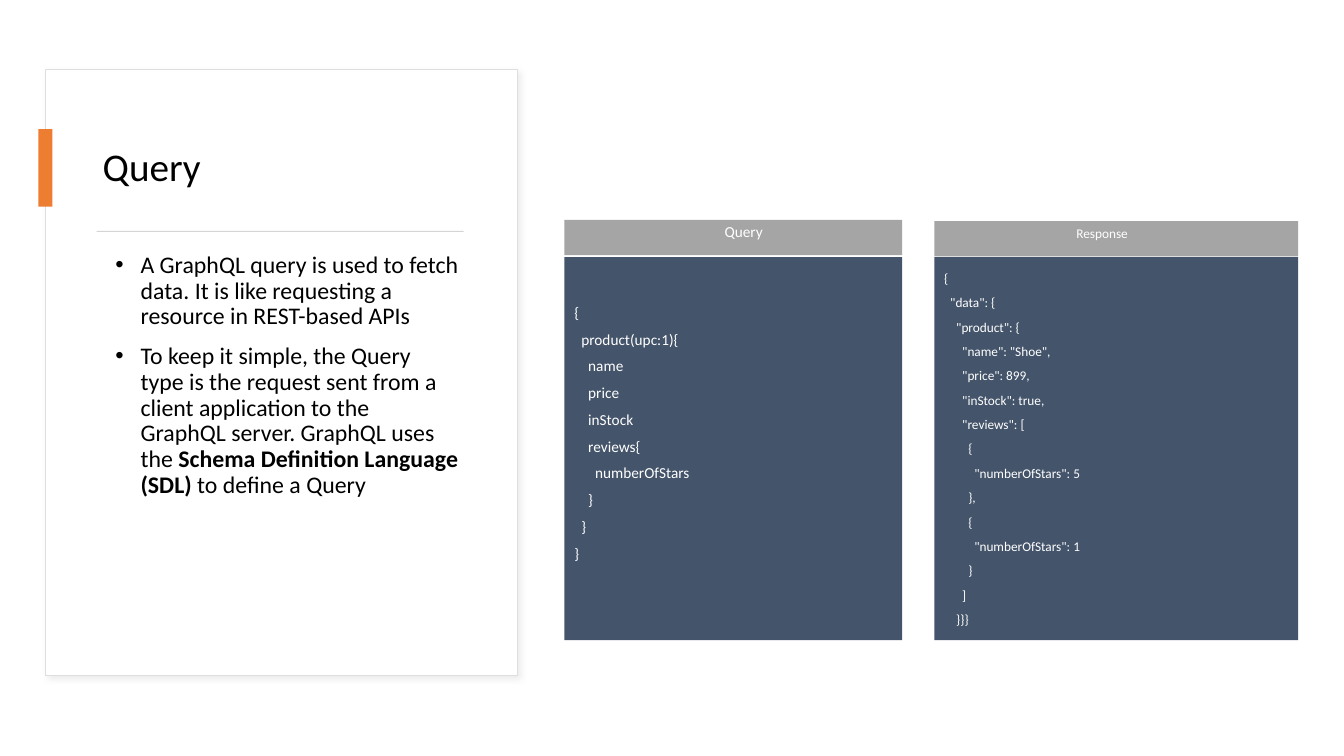
"""Build the Query slide: a text card beside a query and its response."""
from lxml import etree
from pptx import Presentation
from pptx.dml.color import RGBColor
from pptx.enum.shapes import MSO_SHAPE
from pptx.enum.text import MSO_ANCHOR, MSO_AUTO_SIZE, PP_ALIGN
from pptx.oxml.ns import qn
from pptx.util import Pt

RECT = MSO_SHAPE.RECTANGLE
MIDDLE, TOP = MSO_ANCHOR.MIDDLE, MSO_ANCHOR.TOP
FIXED, LEFT = MSO_AUTO_SIZE.NONE, PP_ALIGN.LEFT
FONT = "Calibri"
HEX = {"white": "FFFFFF", "black": "000000", "edge": "DEDEDE",
       "shade": "D9D9D9", "accent": "ED7D31", "rule": "D5D5D5",
       "code": "44546A", "head": "A5A5A5"}

TITLE = "Query"
POINTS = [
    [("A GraphQL query is used to fetch data. It is like requesting a "
      "resource in REST-based APIs", False)],
    [("To keep it simple, the Query type is the request sent from a client "
      "application to the GraphQL server. GraphQL uses the ", False),
     ("Schema Definition Language (SDL)", True),
     (" to define a Query", False)],
]
QUERY = [(0, "{"), (1, "product(upc:1){"), (2, "name"), (2, "price"),
         (2, "inStock"), (2, "reviews{"), (3, "numberOfStars"),
         (2, "}"), (1, "}"), (0, "}")]
REPLY = [(0, "{"), (1, '"data": {'), (2, '"product": {'),
         (3, '"name": "Shoe",'), (3, '"price": 899,'),
         (3, '"inStock": true,'), (3, '"reviews": ['), (4, "{"),
         (5, '"numberOfStars": 5'), (4, "},"), (4, "{"),
         (5, '"numberOfStars": 1'), (4, "}"), (3, "]"), (2, "}}}")]
PANELS = [
    {"name": "Query", "lines": QUERY, "size": 10.9, "left": 403.2,
     "width": 241.2, "top": 157, "label": (510.5, 155.5, 44, 28), "foot": 26.6},
    {"name": "Response", "lines": REPLY, "size": 9.5, "left": 667.4,
     "width": 260, "top": 157.9, "label": (761.8, 157, 75, 25), "foot": 3.6},
]
CODE_TOP, CODE_HIGH, HEAD_HIGH = 183.7, 273.6, 25.2
STEP = 0.452


def paint(run, size, color, bold=False):
    font = run.font
    font.name, font.size, font.bold = FONT, Pt(size), bold
    font.color.rgb = RGBColor.from_string(HEX[color])


def place(shape, box):
    shape.left, shape.top, shape.width, shape.height = map(Pt, box)


def block(slide, box, color):
    shape = slide.shapes.add_shape(RECT, *map(Pt, box))
    shape.shadow.inherit = False
    shape.fill.solid()
    shape.fill.fore_color.rgb = RGBColor.from_string(HEX[color])
    shape.line.fill.background()
    return shape


def add_card(slide):
    card = block(slide, (32.4, 49.7, 337, 432.7), "white")
    card.line.color.rgb = RGBColor.from_string(HEX["edge"])
    card.line.width = Pt(0.75)
    glow = card._element.spPr.find(qn("a:effectLst"))
    shade = etree.SubElement(glow, qn("a:outerShdw"), blurRad=str(Pt(4)),
                             dist=str(Pt(3)), dir="2700000")
    tint = etree.SubElement(shade, qn("a:srgbClr"), val=HEX["shade"])
    etree.SubElement(tint, qn("a:alpha"), val="50000")
    block(slide, (27.4, 92.2, 10.1, 55.4), "accent")
    block(slide, (69.1, 164.9, 262.1, 0.7), "rule")


def fill_title(title):
    place(title, (66.2, 77, 268.6, 87.1))
    frame = title.text_frame
    frame.text = TITLE
    frame.auto_size, frame.vertical_anchor = FIXED, MIDDLE
    para = frame.paragraphs[0]
    para.alignment, para.line_spacing = LEFT, 0.9
    paint(para.runs[0], 28, "black")


def fill_body(body):
    place(body, (66.2, 177.1, 268.6, 280.1))
    frame = body.text_frame
    frame.auto_size, frame.vertical_anchor = FIXED, TOP
    for i, parts in enumerate(POINTS):
        para = frame.add_paragraph() if i else frame.paragraphs[0]
        para.line_spacing, para.space_before = 0.9, Pt(10)
        props = para._p.get_or_add_pPr()
        props.set("marL", str(Pt(27)))
        props.set("indent", str(Pt(-18)))
        etree.SubElement(props, qn("a:buFont"), typeface="Arial")
        etree.SubElement(props, qn("a:buChar"), char="•")
        for text, bold in parts:
            run = para.add_run()
            run.text = text
            paint(run, 17, "black", bold)


def add_panel(slide, panel):
    left, width, size = panel["left"], panel["width"], panel["size"]
    code = block(slide, (left, CODE_TOP, width, CODE_HIGH), "code")
    frame = code.text_frame
    frame.vertical_anchor, frame.margin_bottom = MIDDLE, Pt(panel["foot"])
    frame.text = "\n".join(text for _, text in panel["lines"])
    for para, (depth, _) in zip(frame.paragraphs, panel["lines"]):
        para.alignment, para.space_after = LEFT, Pt(6)
        para._p.get_or_add_pPr().set("marL", str(Pt(depth * STEP * size)))
        paint(para.runs[0], size, "white")

    block(slide, (left, panel["top"], width, HEAD_HIGH), "head")
    label = slide.shapes.add_textbox(*map(Pt, panel["label"])).text_frame
    label.word_wrap = True
    label.text = panel["name"]
    para = label.paragraphs[0]
    para.space_after = Pt(6)
    paint(para.runs[0], size, "white")


def main():
    deck = Presentation()
    deck.slide_width, deck.slide_height = Pt(960), Pt(540)
    slide = deck.slides.add_slide(deck.slide_layouts[1])
    title, body = slide.placeholders
    add_card(slide)
    for holder in (title, body):
        slide.shapes._spTree.append(holder._element)
    fill_title(title)
    fill_body(body)
    for panel in PANELS:
        add_panel(slide, panel)
    deck.save("out.pptx")


if __name__ == "__main__":
    main()
